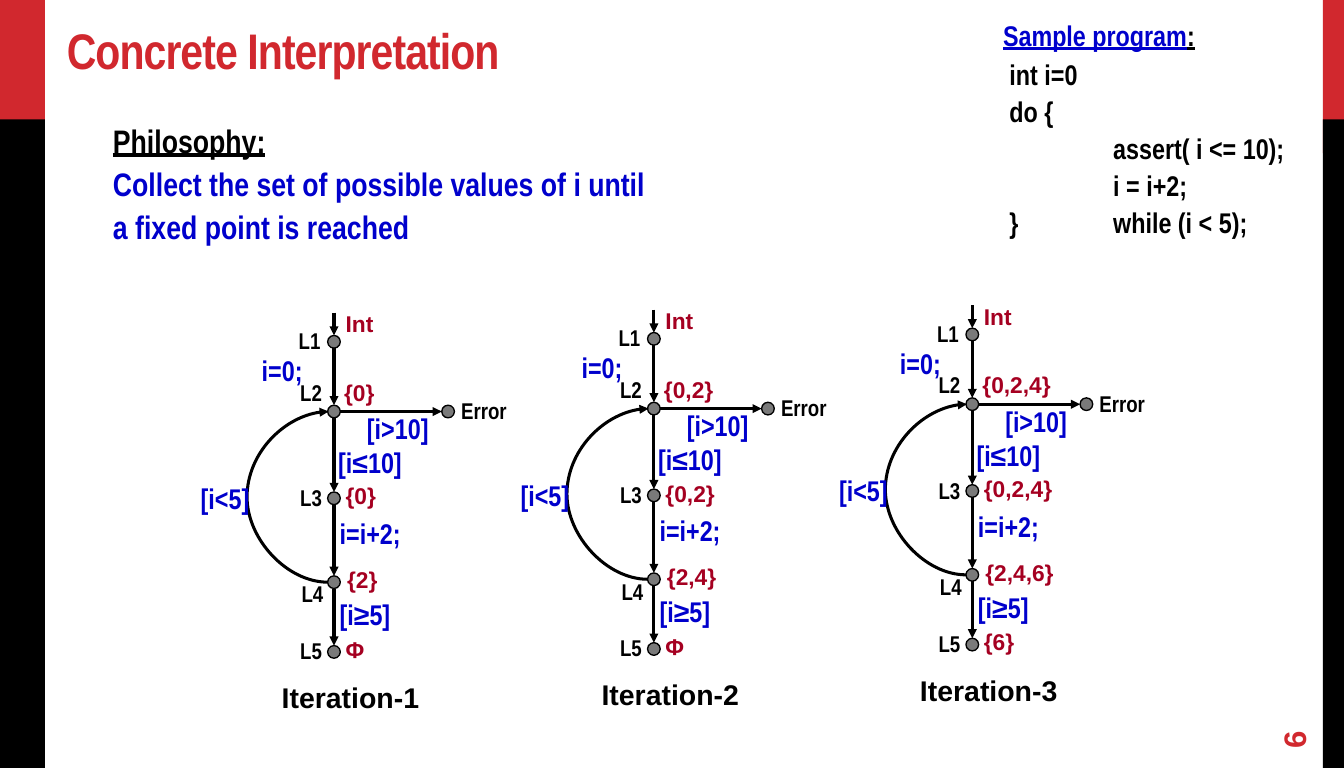
from dataclasses import dataclass
from itertools import pairwise

from lxml.etree import SubElement
from pptx import Presentation
from pptx.dml.color import RGBColor
from pptx.enum.shapes import MSO_CONNECTOR, MSO_SHAPE
from pptx.enum.text import MSO_ANCHOR
from pptx.oxml.ns import qn
from pptx.util import Inches, Pt

CELL = 0.1  # grid module in inches; all lengths below are columns and rows
SLIDE_WIDTH, SLIDE_HEIGHT = Pt(992.25), Pt(567)


@dataclass(frozen=True)
class TextStyle:
    size: float
    color: str
    font: str = "Arial Narrow"
    underline: bool = False


@dataclass(frozen=True)
class Theme:
    red: str = "D1282E"
    black: str = "000000"
    white: str = "FFFFFF"
    node: str = "7A7A7A"
    edge_width: float = 2.25
    title: TextStyle = TextStyle(36.9, "D1282E")
    heading: TextStyle = TextStyle(24, "000000", underline=True)
    philosophy: TextStyle = TextStyle(24, "0000CC")
    code_heading: TextStyle = TextStyle(21, "0000CC", underline=True)
    code_colon: TextStyle = TextStyle(21, "000000", underline=True)
    code: TextStyle = TextStyle(21, "000000")
    location: TextStyle = TextStyle(16.8, "000000")
    guard: TextStyle = TextStyle(21, "0000CC")
    state: TextStyle = TextStyle(16.8, "A50021", "Arial")
    caption: TextStyle = TextStyle(21, "000000", "Arial")
    page: TextStyle = TextStyle(23, "D1282E", "Arial")


def cells(count):
    return Inches(count * CELL)


def format_run(run, style):
    font = run.font
    font.name, font.size, font.bold = style.font, Pt(style.size), True
    font.underline = style.underline
    font.color.rgb = RGBColor.from_string(style.color)


class SlideBuilder:
    def __init__(self, slide, theme):
        self.slide, self.theme = slide, theme

    def shape(self, kind, left, top, width, height, fill, outlined=False):
        shape = self.slide.shapes.add_shape(kind, *map(cells, (left, top, width, height)))
        shape.shadow.inherit = False
        shape.fill.solid()
        shape.fill.fore_color.rgb = RGBColor.from_string(fill)
        if outlined:
            shape.line.color.rgb = RGBColor.from_string(self.theme.black)
            shape.line.width = Pt(1)
        else:
            shape.line.fill.background()
        return shape

    def node(self, x, y):
        return self.shape(MSO_SHAPE.OVAL, x - RADIUS, y - RADIUS, 2 * RADIUS, 2 * RADIUS,
                          self.theme.node, outlined=True)

    def arrow(self, start, end, kind=MSO_CONNECTOR.STRAIGHT):
        connector = self.slide.shapes.add_connector(kind, *map(cells, (*start, *end)))
        connector.line.color.rgb = RGBColor.from_string(self.theme.black)
        connector.line.width = Pt(self.theme.edge_width)
        SubElement(connector.line._get_or_add_ln(), qn("a:tailEnd"), type="triangle")
        SubElement(connector._element.spPr, qn("a:effectLst"))
        return connector

    def loop_arrow(self, start, end, bulge):
        """Curve that leaves and returns on the left, `bulge` columns out."""
        sliver = 0.1
        connector = self.arrow(start, (end[0] + sliver, end[1]), MSO_CONNECTOR.CURVE)
        adjustments = connector._element.spPr.find(qn("a:prstGeom")).get_or_add_avLst()
        ratio = round(-bulge / sliver * 100000)
        SubElement(adjustments, qn("a:gd"), name="adj1", fmla=f"val {ratio}")

    def text(self, left, top, width, height, lines, style, wrap=False, margins=(1, 0.5)):
        box = self.slide.shapes.add_textbox(*map(cells, (left, top, width, height)))
        frame = box.text_frame
        frame.text = lines
        frame.word_wrap = wrap
        frame.margin_left = frame.margin_right = cells(margins[0])
        frame.margin_top = frame.margin_bottom = cells(margins[1])
        for paragraph in frame.paragraphs:
            for run in paragraph.runs:
                format_run(run, style)
        return box


RADIUS = 0.65
LOCATION_ROWS = (0, 7.15, 16.05, 24.65, 31.8)
ERROR_COLUMN = 11.7
LOOP_BULGE = 8.4
# Offsets from the centre of node L1: text, column, row, width
LOCATION_LABELS = (
    ("L1", -4.6, -2.05, 4.3), ("L2", -4.45, 3.25, 4.3), ("L3", -4.45, 14.05, 4.3),
    ("L4", -4.3, 23.95, 4.3), ("L5", -4.45, 29.75, 4.3), ("Error", 12.05, 5.15, 6.8),
)
GUARD_LABELS = (
    ("i=0;", -8.4, 0.65, 6.2), ("[i>10]", 2.4, 6.6, 8.4), ("[i≤10]", -0.55, 10.1, 8.6),
    ("i=i+2;", -0.4, 17.4, 8.3), ("[i<5]", -14.65, 13.75, 7.1), ("[i≥5]", -0.4, 25.7, 7.3),
)
STATE_PLACES = ((0.2, -3.8), (0.05, 3.25), (0.2, 13.9), (0.35, 22.5), (0.2, 29.6))
STATE_WIDTHS = {1: 4.3, 3: 5.2, 5: 7.1, 7: 9.1}
ITERATIONS = (
    (34.25, 35.05, ("Int", "{0}", "{0}", "{2}", "Φ")),
    (67.05, 34.75, ("Int", "{0,2}", "{0,2}", "{2,4}", "Φ")),
    (99.7, 34.3, ("Int", "{0,2,4}", "{0,2,4}", "{2,4,6}", "{6}")),
)


def draw_iteration(builder, number, x, y, states):
    theme = builder.theme
    rows = [y + row for row in LOCATION_ROWS]
    for row in rows:
        builder.node(x, row)
    builder.node(x + ERROR_COLUMN, rows[1])
    builder.arrow((x, y - 3), (x, y - RADIUS))
    for upper, lower in pairwise(rows):
        builder.arrow((x, upper + RADIUS), (x, lower - RADIUS))
    builder.arrow((x + RADIUS, rows[1]), (x + ERROR_COLUMN - RADIUS, rows[1]))
    builder.loop_arrow((x - RADIUS, rows[3]), (x - RADIUS, rows[1]), LOOP_BULGE)

    for labels, style, height in ((LOCATION_LABELS, theme.location, 3.8),
                                  (GUARD_LABELS, theme.guard, 4.5)):
        for label, column, row, width in labels:
            builder.text(x + column, y + row, width, height, label, style)
    for state, (column, row) in zip(states, STATE_PLACES):
        builder.text(x + column, y + row, STATE_WIDTHS[len(state)], 3.8, state,
                     theme.state, wrap=len(state) == 1)
    builder.text(x - 6.35, y + 34.2, 16.3, 4.5, f"Iteration-{number}", theme.caption)


def draw_side_bars(builder):
    theme = builder.theme
    for left, width in ((135.65, 2.16), (0, 4.6)):
        builder.shape(MSO_SHAPE.RECTANGLE, left, 0, width, 15.7, theme.red)
        builder.shape(MSO_SHAPE.RECTANGLE, left, 12.25, width, 66.5, theme.black)


def draw_program(builder):
    theme = builder.theme
    lines = "Sample program\n int i=0\n do {\n\tassert( i <= 10);\n\ti = i+2;\n }\twhile (i < 5);"
    box = builder.text(101.75, 1.3, 33, 25.5, lines, theme.code, wrap=True, margins=(1.1, 0.6))
    box.fill.solid()
    box.fill.fore_color.rgb = RGBColor.from_string(theme.white)
    heading, *code = box.text_frame.paragraphs
    format_run(heading.runs[0], theme.code_heading)
    colon = heading.add_run()
    colon.text = ":"
    format_run(colon, theme.code_colon)
    for paragraph in (heading, *code):
        paragraph.space_before, paragraph.space_after = Pt(4.2), Pt(6.8)
    for paragraph in code:
        paragraph.line_spacing = 0.65
        tabs = SubElement(paragraph._p.get_or_add_pPr(), qn("a:tabLst"))
        SubElement(tabs, qn("a:tab"), pos=str(cells(11.3)), algn="l")


def main():
    presentation = Presentation()
    presentation.slide_width, presentation.slide_height = SLIDE_WIDTH, SLIDE_HEIGHT
    theme = Theme()
    builder = SlideBuilder(presentation.slides.add_slide(presentation.slide_layouts[6]), theme)

    draw_side_bars(builder)
    title = builder.text(5.75, 1.75, 128.6, 7, "Concrete Interpretation", theme.title,
                         wrap=True, margins=(1.1, 0.6))
    title.text_frame.vertical_anchor = MSO_ANCHOR.BOTTOM
    title.text_frame.paragraphs[0].runs[0].font._element.set("spc", "-70")
    draw_program(builder)

    philosophy = builder.text(
        10.6, 11.5, 62.9, 14.3,
        "Philosophy:\nCollect the set of possible values of i until\na fixed point is reached",
        theme.philosophy, wrap=True)
    for paragraph in philosophy.text_frame.paragraphs:
        paragraph.line_spacing = 1.1
    format_run(philosophy.text_frame.paragraphs[0].runs[0], theme.heading)

    for number, (x, y, states) in enumerate(ITERATIONS, 1):
        draw_iteration(builder, number, x, y, states)

    page = builder.text(128.6, 72.1, 8.1, 3.4, "6", theme.page, wrap=True, margins=(1.1, 0.6))
    page.text_frame.vertical_anchor = MSO_ANCHOR.MIDDLE
    page.rotation = 270
    presentation.save("out.pptx")


if __name__ == "__main__":
    main()
